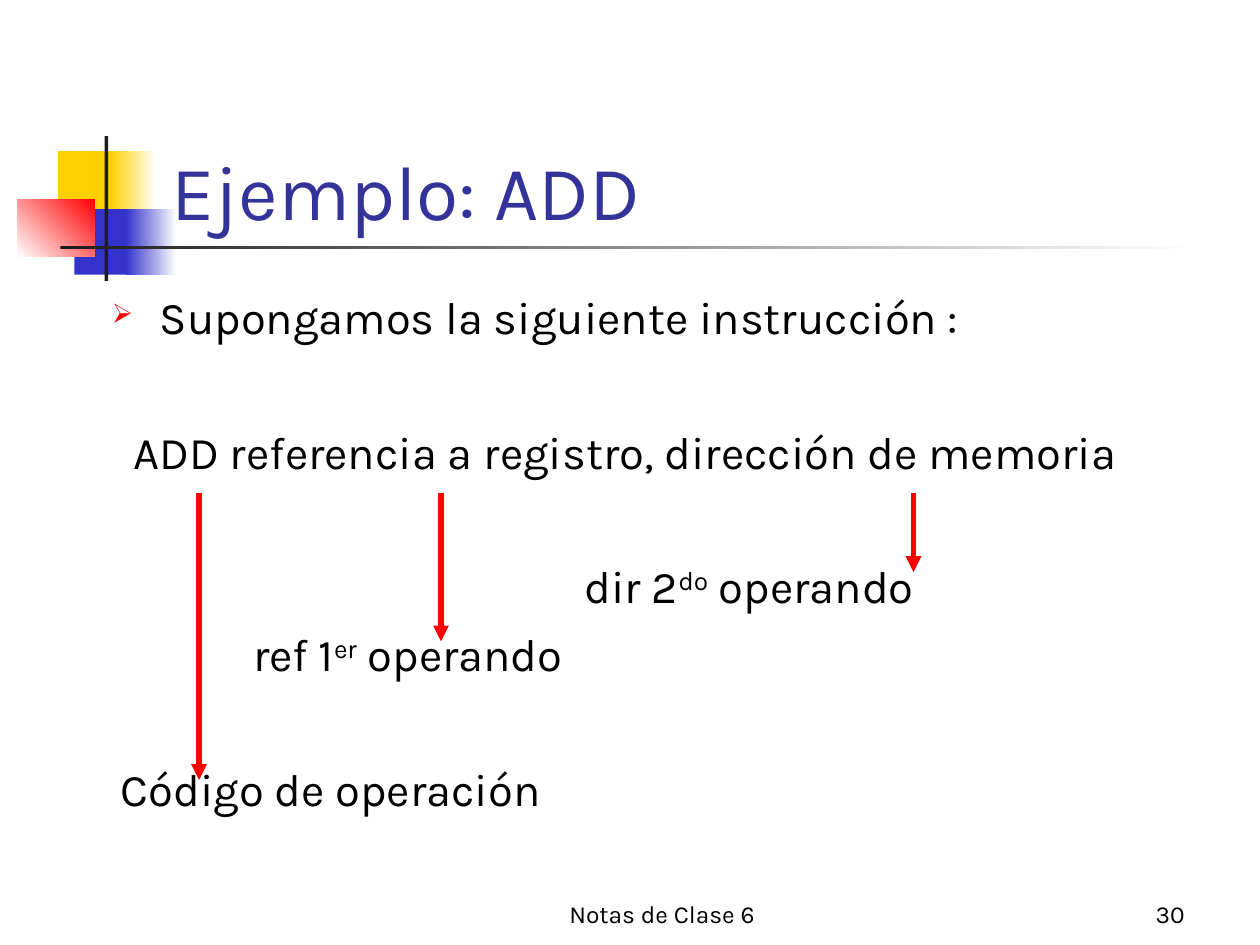
from lxml.etree import SubElement
from pptx import Presentation
from pptx.dml.color import RGBColor
from pptx.enum.shapes import MSO_CONNECTOR, MSO_SHAPE
from pptx.enum.text import MSO_ANCHOR, PP_ALIGN
from pptx.oxml.ns import qn
from pptx.util import Inches, Pt

COLORS = {name: RGBColor.from_string(value) for name, value in {
    "yellow": "FFCF01", "blue": "3333CC", "red": "FF0000", "ink": "1C1C1C",
    "white": "FFFFFF", "title": "333399", "text": "000000"}.items()}
FONT = "Karla"
BODY_SIZE = 25.9
LINE_GAP = 7.7
EMPTY_LINE = 38

presentation = Presentation()
presentation.slide_width, presentation.slide_height = Inches(10), Inches(7.5)
slide = presentation.slides.add_slide(presentation.slide_layouts[6])


def add_text_frame(left, top, width, height, anchor):
    """Add a wrapping text box and return its text frame."""
    box = slide.shapes.add_textbox(*map(Inches, (left, top, width, height)))
    frame = box.text_frame
    frame.word_wrap = True
    frame.vertical_anchor = anchor
    return frame


def style(paragraph, size, color, alignment=PP_ALIGN.LEFT):
    """Set the font and alignment of a whole paragraph."""
    paragraph.alignment = alignment
    paragraph.font.name = FONT
    paragraph.font.size = Pt(size)
    paragraph.font.color.rgb = COLORS[color]


# Title ornament: left, top, width, height, start colour, end colour, angle
ornament = [
    (0.46, 1.2, 0.48, 0.52, "yellow", None, 0),
    (0.88, 1.2, 0.36, 0.52, "yellow", "white", 0),
    (0.59, 1.66, 0.46, 0.52, "blue", None, 0),
    (1, 1.66, 0.4, 0.52, "blue", "white", 0),
    (0.14, 1.58, 0.61, 0.46, "white", "red", 45),
    (0.83, 1.08, 0.03, 1.15, "ink", None, 0),
    (0.48, 1.95, 9, 0.03, "ink", "white", 0),
]
for *place, start, end, angle in ornament:
    shape = slide.shapes.add_shape(MSO_SHAPE.RECTANGLE, *map(Inches, place))
    shape.shadow.inherit = False
    shape.line.fill.background()
    if end is None:
        shape.fill.solid()
        shape.fill.fore_color.rgb = COLORS[start]
        continue
    shape.fill.gradient()
    shape.fill.gradient_angle = angle
    for stop, color, position in zip(shape.fill.gradient_stops, (start, end), (0, 1)):
        stop.color.rgb = COLORS[color]
        stop.position = position

# Title and footer
labels = [
    ("Notas de Clase 6", (3.67, 6.92, 3.17, 0.5), 14, "text", PP_ALIGN.CENTER),
    ("30", (7.42, 6.92, 2.08, 0.5), 14, "text", PP_ALIGN.RIGHT),
    ("Ejemplo: ADD", (1.26, 0.67, 8.52, 1.25), 44, "title", PP_ALIGN.LEFT),
]
for text, place, size, color, alignment in labels:
    paragraph = add_text_frame(*place, MSO_ANCHOR.BOTTOM).paragraphs[0]
    paragraph.text = text
    style(paragraph, size, color, alignment)

# Body: indent in inches, empty lines above, text, superscript, rest
body_lines = [
    (0.38, 0, "Supongamos la siguiente instrucción :", "", ""),
    (0.17, 1, "ADD referencia a registro, dirección de memoria", "", ""),
    (3.75, 1, "dir 2", "do", " operando"),
    (1.12, 0, "ref 1", "er", " operando"),
    (0.07, 1, "Código de operación", "", ""),
]
body = add_text_frame(0.79, 2.25, 9.04, 4.5, MSO_ANCHOR.TOP)
for index, (indent, empty_lines, *pieces) in enumerate(body_lines):
    paragraph = body.paragraphs[0] if index == 0 else body.add_paragraph()
    style(paragraph, BODY_SIZE, "text")
    paragraph.space_before = Pt(LINE_GAP + empty_lines * EMPTY_LINE)
    properties = paragraph._p.get_or_add_pPr()
    properties.set("marL", str(Inches(indent)))
    properties.set("indent", "0")
    for piece, baseline in zip(pieces, (0, 30000, 0)):
        if piece:
            run = paragraph.add_run()
            run.text = piece
            if baseline:
                run.font._element.set("baseline", str(baseline))

# Bullet of the first line, placed ahead of the default run properties
properties = body.paragraphs[0]._p.get_or_add_pPr()
properties.set("indent", str(-Inches(0.38)))
bullet_color = SubElement(properties, qn("a:buClr"))
SubElement(bullet_color, qn("a:srgbClr"), val=str(COLORS["red"]))
SubElement(properties, qn("a:buSzPct"), val="60000")
SubElement(properties, qn("a:buChar"), char="➢")
properties.append(properties.find(qn("a:defRPr")))

# Arrows from each part of the instruction to its meaning
ARROW_TOP = 3.91
for x, bottom in [(1.58, 6.19), (3.5, 5.09), (7.25, 4.54)]:
    arrow = slide.shapes.add_connector(
        MSO_CONNECTOR.STRAIGHT, *map(Inches, (x, ARROW_TOP, x, bottom)))
    arrow.line.color.rgb = COLORS["red"]
    arrow.line.width = Pt(3)
    SubElement(arrow.line._get_or_add_ln(), qn("a:tailEnd"), type="triangle")
    SubElement(arrow._element.spPr, qn("a:effectLst"))

presentation.save("out.pptx")
